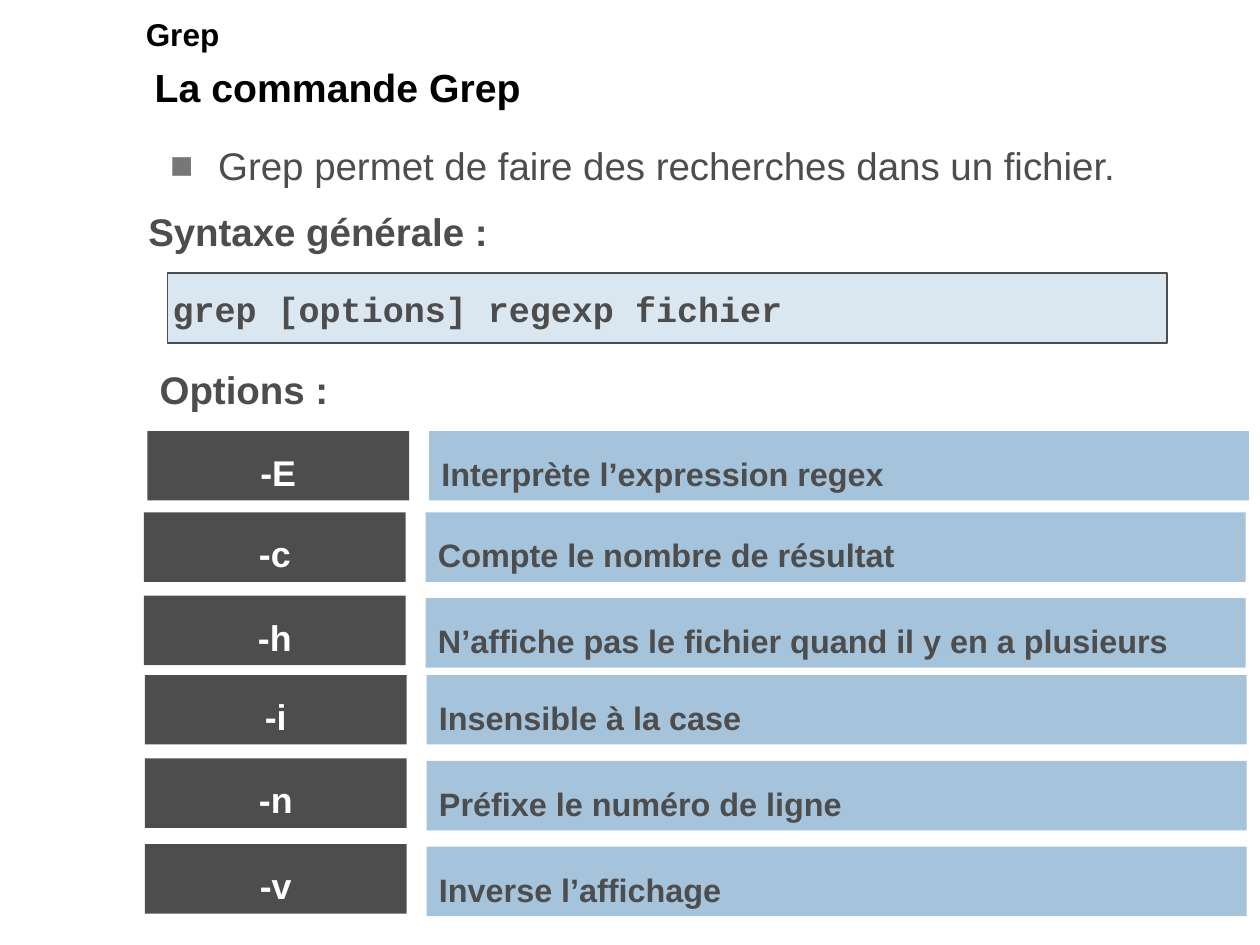
from dataclasses import dataclass

from lxml import etree
from pptx import Presentation
from pptx.dml.color import RGBColor
from pptx.enum.shapes import MSO_SHAPE
from pptx.enum.text import MSO_ANCHOR, PP_ALIGN
from pptx.oxml.ns import qn
from pptx.util import Cm, Pt

RECTANGLE = MSO_SHAPE.RECTANGLE
TOP, MIDDLE = MSO_ANCHOR.TOP, MSO_ANCHOR.MIDDLE
LEFT, CENTER = PP_ALIGN.LEFT, PP_ALIGN.CENTER


@dataclass(frozen=True)
class Theme:
    black: str = "000000"
    white: str = "FFFFFF"
    gray: str = "4D4D4D"
    bullet: str = "777777"
    blue: str = "A5C3DB"
    pale: str = "DAE6F0"
    sans: str = "Arial"
    mono: str = "Courier New"
    chapter: float = 18
    title: float = 22.4
    body: float = 22
    code: float = 20
    flag: float = 20.4
    meaning: float = 18.5


THEME = Theme()

OPTIONS = [
    ("-E", "Interprète l’expression regex", 0.07, 0, 0),
    ("-c", "Compte le nombre de résultat", 0, 1.64, 0),
    ("-h", "N’affiche pas le fichier quand il y en a plusieurs", 0, 3.32, 0.05),
    ("-i", "Insensible à la case", 0.02, 4.92, 0),
    ("-n", "Préfixe le numéro de ligne", 0.02, 6.6, 0.05),
    ("-v", "Inverse l’affichage", 0.02, 8.33, 0.05),
]


def write(shape, text, size, color, bold=True, font=THEME.sans,
          anchor=TOP, align=LEFT, spacing=1.0):
    frame = shape.text_frame
    frame.word_wrap = True
    frame.vertical_anchor = anchor
    paragraph = frame.paragraphs[0]
    paragraph.alignment = align
    paragraph.line_spacing = spacing
    run = paragraph.add_run()
    run.text = text
    run.font.name = font
    run.font.size = Pt(size)
    run.font.bold = bold
    run.font.color.rgb = RGBColor.from_string(color)
    return paragraph


def add_label(slide, box, text, size, color, **style):
    label = slide.shapes.add_textbox(*map(Cm, box))
    return write(label, text, size, color, **style)


def add_panel(slide, box, fill, border=None):
    panel = slide.shapes.add_shape(RECTANGLE, *map(Cm, box))
    panel.shadow.inherit = False
    panel.fill.solid()
    panel.fill.fore_color.rgb = RGBColor.from_string(fill)
    if border:
        panel.line.color.rgb = RGBColor.from_string(border)
        panel.line.width = Pt(1)
    else:
        panel.line.fill.background()
    return panel


def add_square_bullet(paragraph, indent):
    properties = paragraph._p.get_or_add_pPr()
    properties.set("marL", str(Cm(indent)))
    properties.set("indent", str(-Cm(indent)))
    color = etree.SubElement(properties, qn("a:buClr"))
    etree.SubElement(color, qn("a:srgbClr"), val=THEME.bullet)
    etree.SubElement(properties, qn("a:buFont"), typeface=THEME.sans)
    etree.SubElement(properties, qn("a:buChar"), char="■")


def add_header(slide, box):
    left, top, width, height = box
    add_label(slide, (left, top, width, 1.4), "Grep",
              THEME.chapter, THEME.black, spacing=1.5)
    add_label(slide, (left + 0.18, top + 1.32, width - 1.25, height - 1.32),
              "La commande Grep", THEME.title, THEME.black, anchor=MIDDLE)


def add_introduction(slide, box):
    purpose = add_label(slide, box,
                        "Grep permet de faire des recherches dans un fichier.",
                        THEME.body, THEME.gray, bold=False)
    purpose.space_after = Pt(8.2)
    add_square_bullet(purpose, 0.97)


def add_syntax(slide, box):
    left, top, width, height = box
    add_label(slide, (left, top, width, 1.65), "Syntaxe générale :",
              THEME.body, THEME.gray, spacing=1.5)
    command = add_panel(slide, (left + 0.64, top + 1.9, width - 1.17, height - 1.9),
                        THEME.pale, THEME.gray)
    frame = command.text_frame
    frame.margin_left = frame.margin_right = Cm(0.1)
    frame.margin_top = frame.margin_bottom = 0
    write(command, "grep [options] regexp fichier", THEME.code, THEME.gray,
          font=THEME.mono, anchor=MIDDLE)


def add_options(slide, box):
    left, top, width, heading_height = box
    add_label(slide, (left + 0.07, top, width, heading_height), "Options :",
              THEME.body, THEME.gray, spacing=1.5)
    flag_width, meaning_offset, row_height = 5.28, 5.68, 1.4
    first_row = top + 1.91
    for name, explanation, shift, offset, drop in OPTIONS:
        row_left, row_top = left + shift, first_row + offset
        flag = add_panel(slide, (row_left, row_top, flag_width, row_height),
                         THEME.gray)
        write(flag, name, THEME.flag, THEME.white,
              anchor=MIDDLE, align=CENTER, spacing=1.3)
        meaning = add_panel(slide, (row_left + meaning_offset, row_top + drop,
                                    width - 4.78, row_height), THEME.blue)
        entry = write(meaning, explanation, THEME.meaning, THEME.gray,
                      anchor=MIDDLE, spacing=1.4)
        entry.space_after = Pt(7.5)


def main():
    deck = Presentation()
    deck.slide_width, deck.slide_height = Cm(25.4), Cm(19.05)
    slide = deck.slides.add_slide(deck.slide_layouts[6])
    add_header(slide, (2.69, -0.2, 22.71, 2.59))
    add_introduction(slide, (3.18, 2.74, 21.11, 1.19))
    add_syntax(slide, (2.74, 3.61, 21.31, 3.3))
    add_options(slide, (2.9, 6.78, 21.31, 1.65))
    deck.save("out.pptx")


if __name__ == "__main__":
    main()
